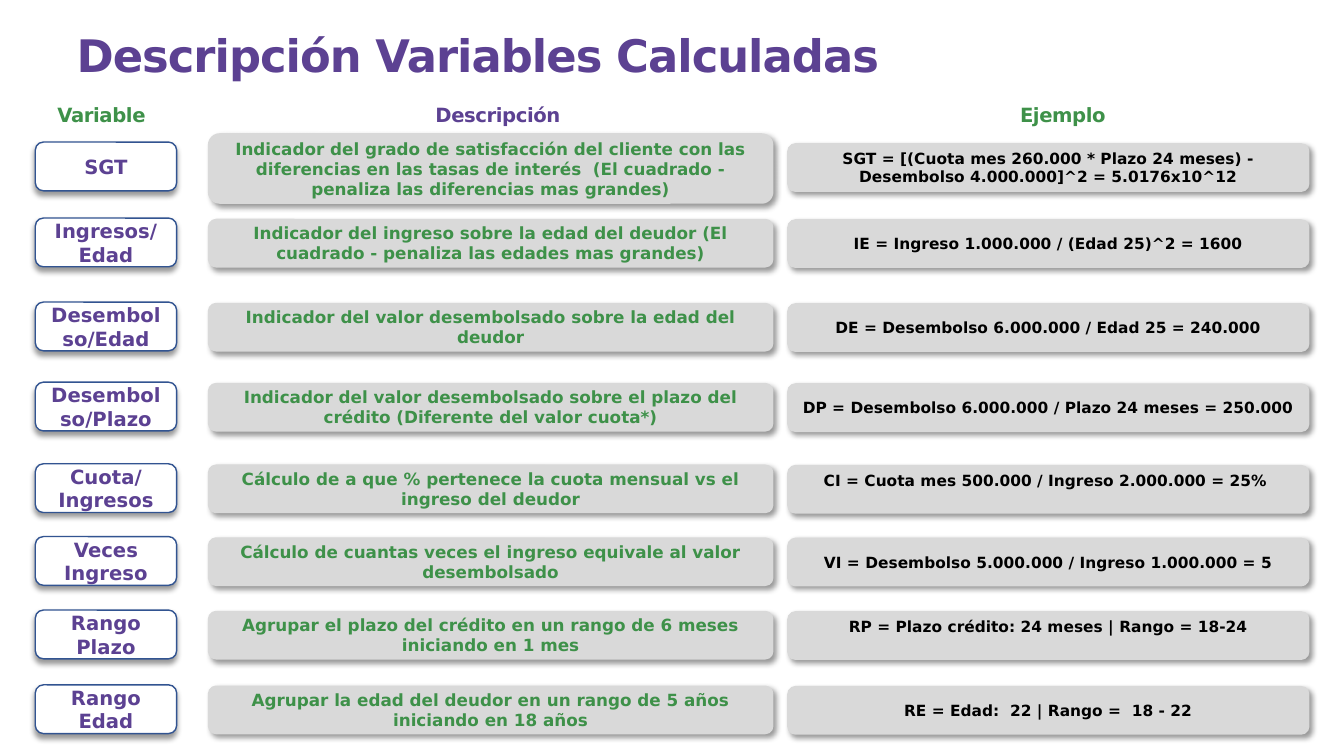
"""Builds the slide that describes the calculated variables."""
import pptx
import pptx.util
import pptx.dml.color
import pptx.enum.shapes
import pptx.enum.text
import pptx.oxml
import pptx.oxml.ns

Pt = pptx.util.Pt
Rgb = pptx.dml.color.RGBColor.from_string
Text = pptx.enum.text

hues = {"purple": "5C4192", "green": "3E9149", "black": "000000",
        "blue": "325491", "white": "FFFFFF", "grey": "D9D9D9"}


def write(shape, text, size, hue, align, frame, track=0):
    """Puts bold text in a shape with the given frame format."""
    for key, value in frame.items():
        setattr(shape.text_frame, key, value)
    para = shape.text_frame.paragraphs[0]
    para.alignment = align
    run = para.add_run()
    run.text = text
    font = {"name": "DejaVu Sans", "size": Pt(size), "bold": True}
    for key, value in font.items():
        setattr(run.font, key, value)
    run.font.color.rgb = Rgb(hues[hue])
    if track:
        run.font._element.set("spc", str(track))


def shade(shape, angle):
    """Gives a shape a soft shadow that falls at an angle."""
    shape.shadow.inherit = False
    space = pptx.oxml.ns.nsdecls("a")
    effects = shape._element.spPr.find(pptx.oxml.ns.qn("a:effectLst"))
    effects.append(pptx.oxml.parse_xml(
        f'<a:outerShdw {space} blurRad="{Pt(4)}" dist="{Pt(3)}" '
        f'dir="{angle * 60000}" algn="t" rotWithShape="0">'
        f'<a:srgbClr val="{hues["black"]}"><a:alpha val="40000"/></a:srgbClr>'
        '</a:outerShdw>'))


deck = pptx.Presentation()
deck.slide_width, deck.slide_height = Pt(960), Pt(540)
slide = deck.slides.add_slide(deck.slide_layouts[5])
left, center = Text.PP_ALIGN.LEFT, Text.PP_ALIGN.CENTER
middle = Text.MSO_ANCHOR.MIDDLE

label = {"word_wrap": True, "auto_size": Text.MSO_AUTO_SIZE.SHAPE_TO_FIT_TEXT,
         "margin_left": Pt(1.4), "margin_top": Pt(2.7),
         "margin_right": 0, "margin_bottom": 0}

title = slide.shapes.title
place = {"left": 49.7, "top": 17.3, "width": 828, "height": 40.3}
for key, value in place.items():
    setattr(title, key, Pt(value))
write(title, "Descripción Variables Calculadas", 32, "purple", left,
      label | {"margin_left": Pt(5), "vertical_anchor": middle}, -70)

heads = [("Variable", 39.6, "green"), ("Descripción", 309.6, "purple"),
         ("Ejemplo", 727.2, "green")]
for text, x, hue in heads:
    box = slide.shapes.add_textbox(Pt(x), Pt(70.6), Pt(121), Pt(18))
    write(box, text, 14, hue, left, label, -30)

cols = [
    {"x": 25.2, "dy": 0, "width": 101, "fill": "white", "size": 14,
     "hue": "purple", "angle": 90},
    {"x": 148.5, "dy": 0.5, "width": 404, "fill": "grey", "size": 12,
     "hue": "green", "angle": 45},
    {"x": 562.3, "dy": 0.8, "width": 373, "fill": "grey", "size": 11,
     "hue": "black", "angle": 45},
]
rows = [
    (101.5, "SGT",
     "Indicador del grado de satisfacción del cliente con las diferencias en "
     "las tasas de interés  (El cuadrado - penaliza las diferencias mas grandes)",
     "SGT = [(Cuota mes 260.000 * Plazo 24 meses) - "
     "Desembolso 4.000.000]^2 = 5.0176x10^12"),
    (155.8, "Ingresos/Edad",
     "Indicador del ingreso sobre la edad del deudor "
     "(El cuadrado - penaliza las edades mas grandes)",
     "IE = Ingreso 1.000.000 / (Edad 25)^2 = 1600"),
    (215.8, "Desembolso/Edad",
     "Indicador del valor desembolsado sobre la edad del deudor",
     "DE = Desembolso 6.000.000 / Edad 25 = 240.000"),
    (273, "Desembolso/Plazo",
     "Indicador del valor desembolsado sobre el plazo del crédito "
     "(Diferente del valor cuota*)",
     "DP = Desembolso 6.000.000 / Plazo 24 meses = 250.000"),
    (331.3, "Cuota/Ingresos",
     "Cálculo de a que % pertenece la cuota mensual vs el ingreso del deudor",
     "CI = Cuota mes 500.000 / Ingreso 2.000.000 = 25% "),
    (383.3, "Veces Ingreso",
     "Cálculo de cuantas veces el ingreso equivale al valor desembolsado",
     "VI = Desembolso 5.000.000 / Ingreso 1.000.000 = 5"),
    (435.8, "Rango Plazo",
     "Agrupar el plazo del crédito en un rango de 6 meses iniciando en 1 mes",
     "RP = Plazo crédito: 24 meses | Rango = 18-24"),
    (489.2, "Rango Edad",
     "Agrupar la edad del deudor en un rango de 5 años iniciando en 18 años",
     "RE = Edad:  22 | Rango =  18 - 22"),
]
raised = ("CI", "RP")
for y, *texts in rows:
    for col, text in zip(cols, texts):
        top, height = y + col["dy"], 34.8
        if len(text) > 120:
            top, height = 95.2, 50.4
        card = slide.shapes.add_shape(
            pptx.enum.shapes.MSO_SHAPE.ROUNDED_RECTANGLE,
            Pt(col["x"]), Pt(top), Pt(col["width"]), Pt(height))
        card.fill.solid()
        card.fill.fore_color.rgb = Rgb(hues[col["fill"]])
        if col["fill"] == "white":
            card.line.color.rgb = Rgb(hues["blue"])
            card.line.width = Pt(1)
        else:
            card.line.fill.background()
        shade(card, col["angle"])
        frame = {"word_wrap": True, "vertical_anchor": middle}
        if text.startswith(raised):
            frame["margin_bottom"] = Pt(16.4)
        write(card, text, col["size"], col["hue"], center, frame)

deck.save("out.pptx")
